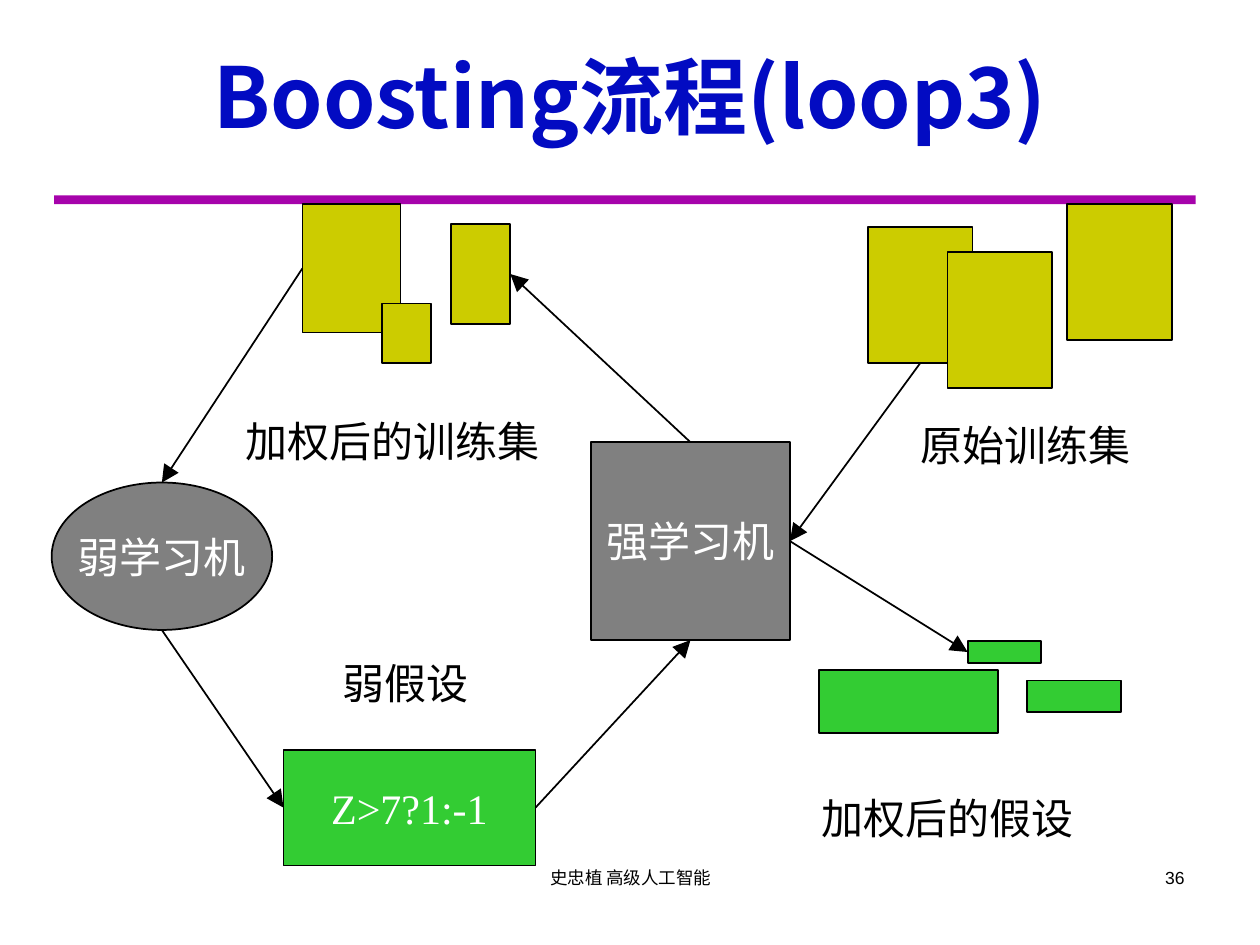
"""Builds the slide showing the third loop of the Boosting process."""
import pptx
import pptx.util
import pptx.dml.color
import pptx.enum.shapes
import pptx.enum.text
import pptx.oxml
import pptx.oxml.ns

Inches, Pt = pptx.util.Inches, pptx.util.Pt
RGBColor = pptx.dml.color.RGBColor
MSO_SHAPE = pptx.enum.shapes.MSO_SHAPE
ALIGN = pptx.enum.text.PP_ALIGN
ANCHOR = pptx.enum.text.MSO_ANCHOR
AUTO_SIZE = pptx.enum.text.MSO_AUTO_SIZE

BLACK = RGBColor(0x00, 0x00, 0x00)
WHITE = RGBColor(0xFF, 0xFF, 0xFF)
BLUE = RGBColor(0x02, 0x0B, 0xC2)
PURPLE = RGBColor(0xA6, 0x03, 0xAB)
GRAY = RGBColor(0x80, 0x80, 0x80)
YELLOW = RGBColor(0xCC, 0xCC, 0x00)
GREEN = RGBColor(0x33, 0xCC, 0x33)

TITLE = "Boosting流程(loop3)"
TITLE_BOX = (0.5, 0.25, 9, 1.01)
RULE_BOX = (0.43, 1.55, 9.06, 0.07)

NODES = {
    "strong learner": ((4.69, 3.51, 1.58, 1.57), GRAY, "强学习机"),
    "weak learner": ((0.41, 3.83, 1.75, 1.17), GRAY, "弱学习机"),
    "original set 1": ((6.89, 1.8, 0.83, 1.08), YELLOW, ""),
    "original set 2": ((7.52, 2, 0.83, 1.08), YELLOW, ""),
    "original set 3": ((8.47, 1.62, 0.83, 1.08), YELLOW, ""),
    "weighted set 1": ((2.4, 1.62, 0.78, 1.02), YELLOW, ""),
    "weighted set 2": ((3.03, 2.41, 0.39, 0.47), YELLOW, ""),
    "weighted set 3": ((3.58, 1.78, 0.47, 0.79), YELLOW, ""),
    "weak hypothesis": ((2.25, 5.95, 2, 0.92), GREEN, "Z>7?1:-1"),
    "weighted hypothesis 1": ((7.68, 5.09, 0.58, 0.17), GREEN, ""),
    "weighted hypothesis 2": ((6.5, 5.32, 1.42, 0.5), GREEN, ""),
    "weighted hypothesis 3": ((8.15, 5.4, 0.75, 0.25), GREEN, ""),
}

SIDES = {"top": (0.5, 0), "bottom": (0.5, 1), "left": (0, 0.5), "right": (1, 0.5)}
ARROWS = [
    ("original set 1", "bottom", "strong learner", "right"),
    ("strong learner", "top", "weighted set 3", "right"),
    ("weighted set 1", "left", "weak learner", "top"),
    ("weak learner", "bottom", "weak hypothesis", "left"),
    ("weak hypothesis", "right", "strong learner", "bottom"),
    ("strong learner", "right", "weighted hypothesis 1", "left"),
]

LABELS = [
    ("原始训练集", (7.21, 3.28, 1.87, 0.5)),
    ("加权后的训练集", (1.85, 3.25, 2.53, 0.5)),
    ("加权后的假设", (6.42, 6.24, 2.2, 0.5)),
    ("弱假设", (2.62, 5.17, 1.2, 0.5)),
]
FOOTERS = [
    ("史忠植 高级人工智能", (3.42, 6.83, 3.17, 0.5), ALIGN.CENTER),
    ("36", (7.17, 6.83, 2.33, 0.5), ALIGN.RIGHT),
]


def inches(values):
    return [Inches(v) for v in values]


def write(sp, text, size, color, align, font="Times New Roman", wrap=False):
    tf = sp.text_frame
    tf.word_wrap = wrap
    p = tf.paragraphs[0]
    p.text = text
    p.alignment = align
    p.font.name, p.font.size, p.font.color.rgb = font, Pt(size), color
    return p


def add_block(s, kind, box, fill):
    sp = s.shapes.add_shape(kind, *inches(box))
    sp.shadow.inherit = False
    sp.fill.solid()
    sp.fill.fore_color.rgb = fill
    return sp


def side_point(name, side):
    x, y, w, h = NODES[name][0]
    fx, fy = SIDES[side]
    return x + w * fx, y + h * fy


def add_arrow(s, start, end):
    line = s.shapes.add_connector(
        pptx.enum.shapes.MSO_CONNECTOR.STRAIGHT, *inches(start + end))
    line.line.color.rgb = BLACK
    line.line.width = Pt(1)
    ns = pptx.oxml.ns.nsdecls("a")
    ln = line.line._get_or_add_ln()
    ln.append(pptx.oxml.parse_xml(
        f'<a:tailEnd {ns} type="triangle" w="lg" len="lg"/>'))
    ln.addnext(pptx.oxml.parse_xml(f"<a:effectLst {ns}/>"))


def main():
    prs = pptx.Presentation()
    prs.slide_width, prs.slide_height = Inches(10), Inches(7.5)
    s = prs.slides.add_slide(prs.slide_layouts[5])

    title = s.shapes.title
    title.left, title.top, title.width, title.height = inches(TITLE_BOX)
    p = write(title, TITLE, 48, BLUE, ALIGN.CENTER, "Noto Sans CJK JP", True)
    p.font.bold = True
    title.text_frame.auto_size = AUTO_SIZE.NONE
    title.text_frame.vertical_anchor = ANCHOR.MIDDLE

    add_block(s, MSO_SHAPE.RECTANGLE, RULE_BOX, PURPLE).line.fill.background()

    for name, (box, fill, text) in NODES.items():
        kind = MSO_SHAPE.OVAL if name == "weak learner" else MSO_SHAPE.RECTANGLE
        sp = add_block(s, kind, box, fill)
        sp.line.color.rgb = BLACK
        sp.line.width = Pt(1)
        if text:
            write(sp, text, 24, WHITE, ALIGN.CENTER)
            sp.text_frame.vertical_anchor = ANCHOR.MIDDLE

    for source, source_side, target, target_side in ARROWS:
        add_arrow(s, side_point(source, source_side), side_point(target, target_side))

    for text, box in LABELS:
        sp = s.shapes.add_textbox(*inches(box))
        write(sp, text, 24, BLACK, ALIGN.LEFT)
        sp.text_frame.auto_size = AUTO_SIZE.SHAPE_TO_FIT_TEXT
    for text, box, align in FOOTERS:
        write(s.shapes.add_textbox(*inches(box)), text, 10, BLACK, align, "Arial", True)

    prs.save("out.pptx")


if __name__ == "__main__":
    main()
